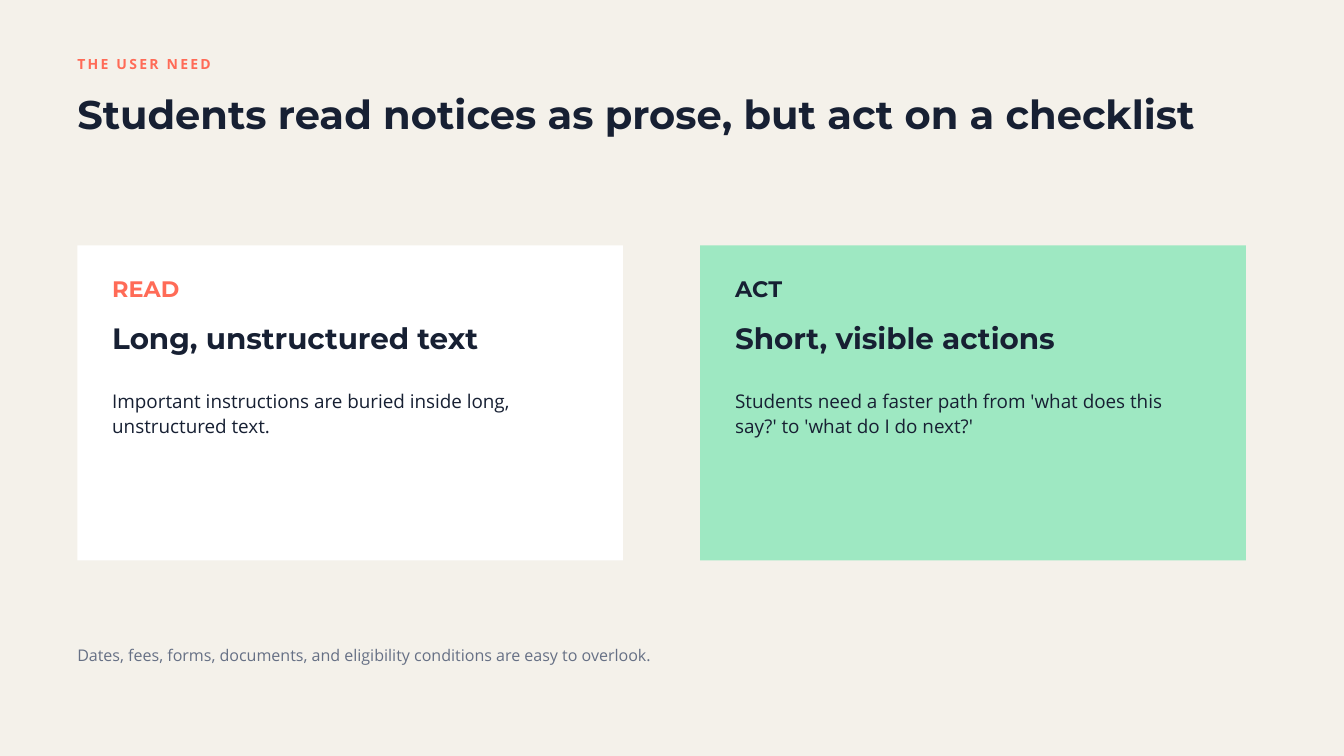
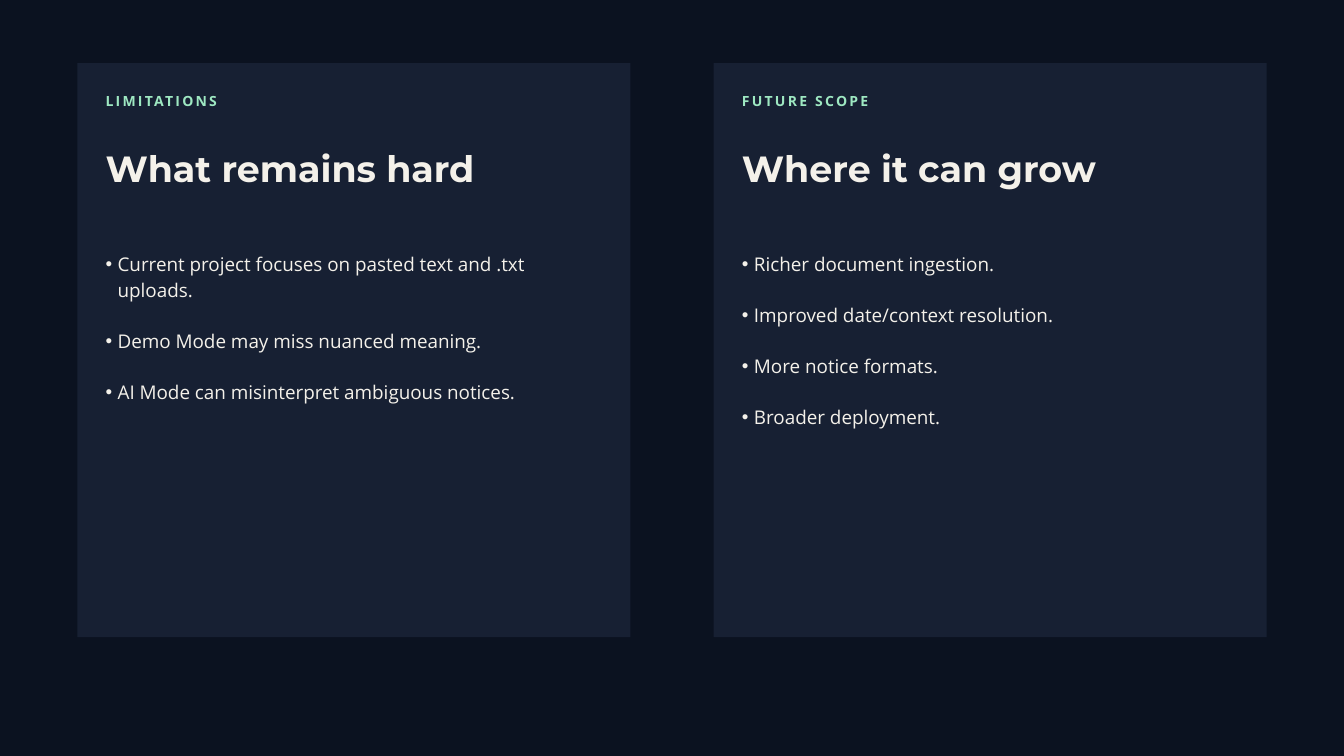
from pptx import Presentation
from pptx.dml.color import RGBColor
from pptx.enum.shapes import MSO_SHAPE
from pptx.enum.text import MSO_ANCHOR, MSO_AUTO_SIZE, PP_ALIGN
from pptx.util import Inches, Pt

CREAM = RGBColor(0xF4, 0xF1, 0xEA)
NAVY = RGBColor(0x17, 0x20, 0x33)
NIGHT = RGBColor(0x0B, 0x12, 0x20)
CORAL = RGBColor(0xFF, 0x6B, 0x57)
MINT = RGBColor(0x9E, 0xE8, 0xC2)
WHITE = RGBColor(0xFF, 0xFF, 0xFF)
GREY = RGBColor(0x66, 0x70, 0x85)

HEAD, BODY = "Montserrat", "Open Sans"
LEFT = 1.15
TEXT_W = 6.77
BULLET_INDENT = Inches(0.18)
TITLE_ONLY, TWO_CONTENT = 5, 3


class Deck:
    def __init__(self):
        self.prs = Presentation()
        self.prs.slide_width = Inches(20)
        self.prs.slide_height = Inches(11.25)
        self.s = None

    def slide(self, layout, background):
        self.s = self.prs.slides.add_slide(self.prs.slide_layouts[layout])
        fill = self.s.background.fill
        fill.solid()
        fill.fore_color.rgb = background

    def panel(self, x, y, w, h, color):
        sp = self.s.shapes.add_shape(
            MSO_SHAPE.RECTANGLE, Inches(x), Inches(y), Inches(w), Inches(h))
        sp.shadow.inherit = False
        sp.fill.solid()
        sp.fill.fore_color.rgb = color
        sp.line.fill.background()

    def text(self, lines, x, y, w, h, size, leading, color,
             font=BODY, bold=False, tracking=0, gap=0, sp=None):
        """Write lines into a new text box, or into placeholder sp brought to the front."""
        box = Inches(x), Inches(y), Inches(w), Inches(h)
        if sp is None:
            sp = self.s.shapes.add_textbox(*box)
        else:
            sp.left, sp.top, sp.width, sp.height = box
            sp.element.getparent().append(sp.element)
        tf = sp.text_frame
        tf.word_wrap = True
        tf.auto_size = MSO_AUTO_SIZE.NONE
        tf.vertical_anchor = MSO_ANCHOR.TOP
        tf.margin_left = tf.margin_right = tf.margin_top = tf.margin_bottom = 0
        tf.text = "\n".join(lines)
        for i, p in enumerate(tf.paragraphs):
            p.alignment = PP_ALIGN.LEFT
            p.line_spacing = Pt(leading)
            p.space_before = Pt(gap if i else 0)
            for r in p.runs:
                r.font.name, r.font.size, r.font.bold = font, Pt(size), bold
                r.font.color.rgb = color
                if tracking:
                    r._r.get_or_add_rPr().set("spc", str(round(tracking * 100)))
        return sp

    def eyebrow(self, label, x, y, color):
        self.text([label], x, y, 5.21, 0.28, 15, 21, color, bold=True, tracking=2.4)

    def heading(self, label, x, y, w, h, size, leading, color, sp=None):
        self.text([label], x, y, w, h, size, leading, color, HEAD, True, sp=sp)

    def bullets(self, items, x, y, h, color, sp):
        self.text(items, x, y, TEXT_W, h, 20.2, 27.3, color, gap=27.3, sp=sp)
        for p in sp.text_frame.paragraphs:
            pPr = p._p.get_or_add_pPr()
            pPr.set("marL", str(BULLET_INDENT))
            pPr.set("indent", str(-BULLET_INDENT))


def user_need(deck):
    deck.slide(TITLE_ONLY, CREAM)
    deck.eyebrow("THE USER NEED", LEFT, 0.78, CORAL)
    deck.heading("Students read notices as prose, but act on a checklist",
                 LEFT, 1.41, 16.67, 0.65, 42.8, 46.2, NAVY, deck.s.shapes.title)
    cards = [
        (WHITE, CORAL, "READ", "Long, unstructured text",
         "Important instructions are buried inside long, unstructured text."),
        (MINT, NAVY, "ACT", "Short, visible actions",
         "Students need a faster path from 'what does this say?' to 'what do I do next?'"),
    ]
    for i, (fill, accent, tag, head, body) in enumerate(cards):
        x = LEFT + i * 9.27
        deck.panel(x, 3.65, 8.12, 4.69, fill)
        x += 0.52
        deck.heading(tag, x, 4.03, 3.12, 0.42, 24, 33.6, accent)
        deck.heading(head, x, 4.68, TEXT_W, 0.57, 31.5, 44.1, NAVY)
        deck.text([body], x, 5.75, TEXT_W, 0.74, 20.2, 27.3, NAVY)
    deck.text(["Dates, fees, forms, documents, and eligibility conditions are easy to overlook."],
              LEFT, 9.55, 16.67, 0.32, 17.2, 24.1, GREY)


def limits_and_scope(deck):
    deck.slide(TWO_CONTENT, NIGHT)
    title, left_list, right_list = deck.s.placeholders
    panels = [
        ("LIMITATIONS", "What remains hard", title, left_list, 2.24,
         ["Current project focuses on pasted text and .txt uploads.",
          "Demo Mode may miss nuanced meaning.",
          "AI Mode can misinterpret ambiguous notices."]),
        ("FUTURE SCOPE", "Where it can grow", None, right_list, 2.61,
         ["Richer document ingestion.",
          "Improved date/context resolution.",
          "More notice formats.",
          "Broader deployment."]),
    ]
    for i, (label, head, head_sp, list_sp, list_h, items) in enumerate(panels):
        x = LEFT + i * 9.47
        deck.panel(x, 0.94, 8.23, 8.54, NAVY)
        x += 0.42
        deck.eyebrow(label, x, 1.33, MINT)
        deck.heading(head, x, 2.07, TEXT_W, 0.7, 39, 54.6, CREAM, head_sp)
        deck.bullets(items, x, 3.72, list_h, CREAM, list_sp)


def main():
    deck = Deck()
    user_need(deck)
    limits_and_scope(deck)
    deck.prs.save("out.pptx")


if __name__ == "__main__":
    main()
